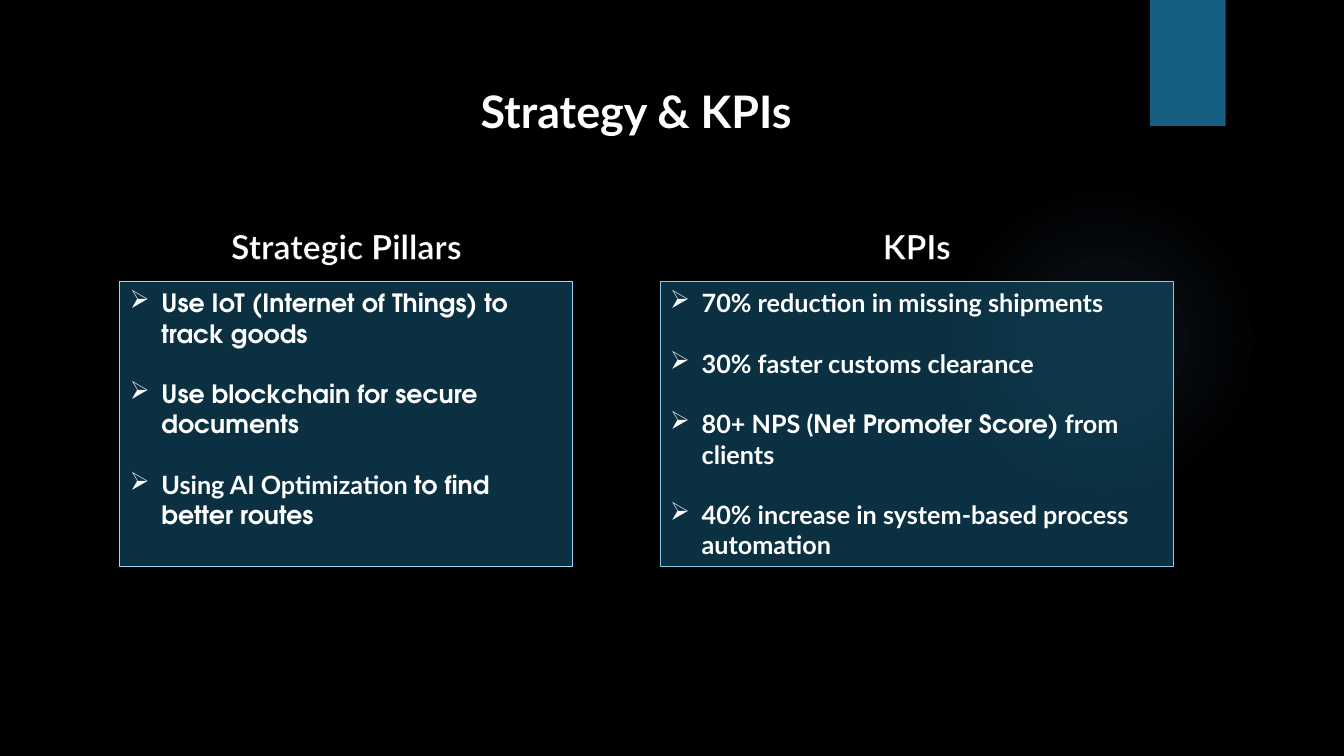
from pptx import Presentation, oxml
from pptx.dml.color import RGBColor
from pptx.enum import shapes, text
from pptx.oxml import ns
from pptx.util import Pt

COLORS = {"back": "000000", "text": "FFFFFF", "teal": "156082", "glow": "71AAE0",
          "left": "96DCF8", "right": "83CBEB"}
LATO, ADVENTOR = "Lato", "TeX Gyre Adventor"

TITLE = ("Strategy & KPIs", (336.2, 56.2, 287.3, 46.1))
GLOW = (677.5, 131.8, 221.8, 221.8)
GLOW_STOPS = [(0, 7), (36, 6), (69, 0)]  # position %, opacity %
TAB = (821.5, 0, 54, 90)
PANEL_TOP, PANEL_HEIGHT = 200.9, 203.8
HEADING_TOP, HEADING_HEIGHT = 157.7, 36
INDENT = 22.5
LINE = 21.6

PANELS = [
    {"heading": "Strategic Pillars", "heading_width": 237.6, "x": 85.7, "width": 323.3,
     "line": "left", "items": [
         [("Use IoT (Internet of Things) to track goods", ADVENTOR)],
         [("Use blockchain for secure documents", ADVENTOR)],
         [("Using AI Optimization ", LATO), ("to find better routes", ADVENTOR)]]},
    {"heading": "KPIs", "heading_width": 82.1, "x": 471.6, "width": 366.5,
     "line": "right", "items": [
         [("70% reduction in missing shipments", LATO)],
         [("30% faster customs clearance", LATO)],
         [("80+ NPS (", LATO), ("Net Promoter Score)", ADVENTOR), (" from clients", LATO)],
         [("40% increase in system-based process automation", LATO)]]},
]


def rgb(name):
    return RGBColor.from_string(COLORS[name])


def xml(markup):
    """Parse one element, declaring the drawing namespace on its root tag."""
    tag, rest = markup.split(" ", 1)
    return oxml.parse_xml(f"{tag} {ns.nsdecls('a')} {rest}")


def add_shape(s, kind, box, fill=None):
    sp = s.shapes.add_shape(kind, *map(Pt, box))
    sp.shadow.inherit = False
    sp.line.fill.background()
    if fill:
        sp.fill.solid()
        sp.fill.fore_color.rgb = rgb(fill)
    return sp


def add_run(p, words, size, font=LATO):
    r = p.add_run()
    r.text = words
    for name, value in {"size": Pt(size), "name": font, "bold": True}.items():
        setattr(r.font, name, value)
    r.font.color.rgb = rgb("text")
    return r


def add_label(s, words, box, size, align):
    tf = s.shapes.add_textbox(*map(Pt, box)).text_frame
    tf.word_wrap = True
    p = tf.paragraphs[0]
    p.alignment = align
    return add_run(p, words, size)


def add_glow(s):
    sp = add_shape(s, shapes.MSO_SHAPE.OVAL, GLOW)
    stops = "".join(
        f'<a:gs pos="{pos * 1000}"><a:srgbClr val="{COLORS["glow"]}">'
        f'<a:alpha val="{alpha * 1000}"/></a:srgbClr></a:gs>' for pos, alpha in GLOW_STOPS)
    center = '<a:fillToRect l="50000" t="50000" r="50000" b="50000"/>'
    sp._element.spPr.insert(2, xml(
        f'<a:gradFill rotWithShape="1"><a:gsLst>{stops}</a:gsLst>'
        f'<a:path path="circle">{center}</a:path></a:gradFill>'))


def add_panel(s, panel):
    box = (panel["x"], PANEL_TOP, panel["width"], PANEL_HEIGHT)
    sp = add_shape(s, shapes.MSO_SHAPE.RECTANGLE, box, "teal")
    sp._element.spPr.find(".//" + ns.qn("a:srgbClr")).append(xml('<a:alpha val="50000"/>'))
    sp.line.color.rgb = rgb(panel["line"])
    sp.line.width = Pt(0.75)
    tf = sp.text_frame
    frame = {"word_wrap": True, "vertical_anchor": text.MSO_ANCHOR.TOP, "margin_top": Pt(4.7)}
    for name, value in frame.items():
        setattr(tf, name, value)
    for i, item in enumerate(panel["items"]):
        p = tf.add_paragraph() if i else tf.paragraphs[0]
        p.alignment = text.PP_ALIGN.LEFT
        p.space_before = Pt(LINE if i else 0)
        pPr = p._p.get_or_add_pPr()
        pPr.set("marL", str(Pt(INDENT)))
        pPr.set("indent", str(-Pt(INDENT)))
        pPr.append(xml('<a:buChar char="➢"/>'))
        for words, font in item:
            add_run(p, words, 18, font)


def add_heading(s, panel):
    width = panel["heading_width"]
    x = panel["x"] + (panel["width"] - width) / 2
    r = add_label(s, panel["heading"], (x, HEADING_TOP, width, HEADING_HEIGHT), 24,
                  text.PP_ALIGN.CENTER)
    r.font._element.insert(0, xml(
        f'<a:ln w="{Pt(1.06)}"><a:solidFill><a:srgbClr val="{COLORS["back"]}"/>'
        '</a:solidFill></a:ln>'))


def main():
    prs = Presentation()
    prs.slide_width, prs.slide_height = Pt(960), Pt(540)
    s = prs.slides.add_slide(prs.slide_layouts[6])
    s.background.fill.solid()
    s.background.fill.fore_color.rgb = rgb("back")
    add_glow(s)
    add_shape(s, shapes.MSO_SHAPE.RECTANGLE, TAB, "teal")
    add_label(s, *TITLE, 32, text.PP_ALIGN.LEFT)
    for panel in PANELS:
        add_panel(s, panel)
        add_heading(s, panel)
    prs.save("out.pptx")


if __name__ == "__main__":
    main()
